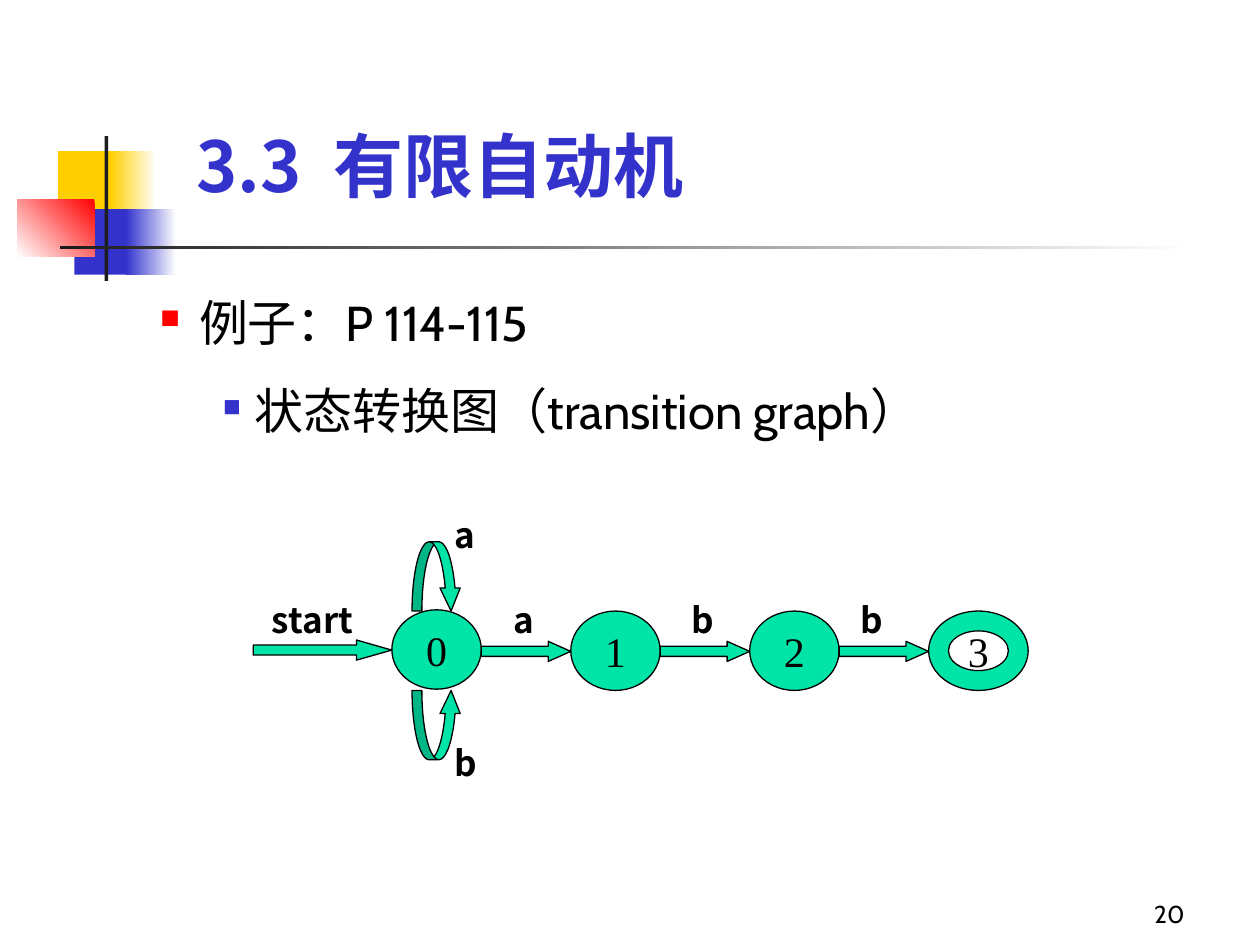
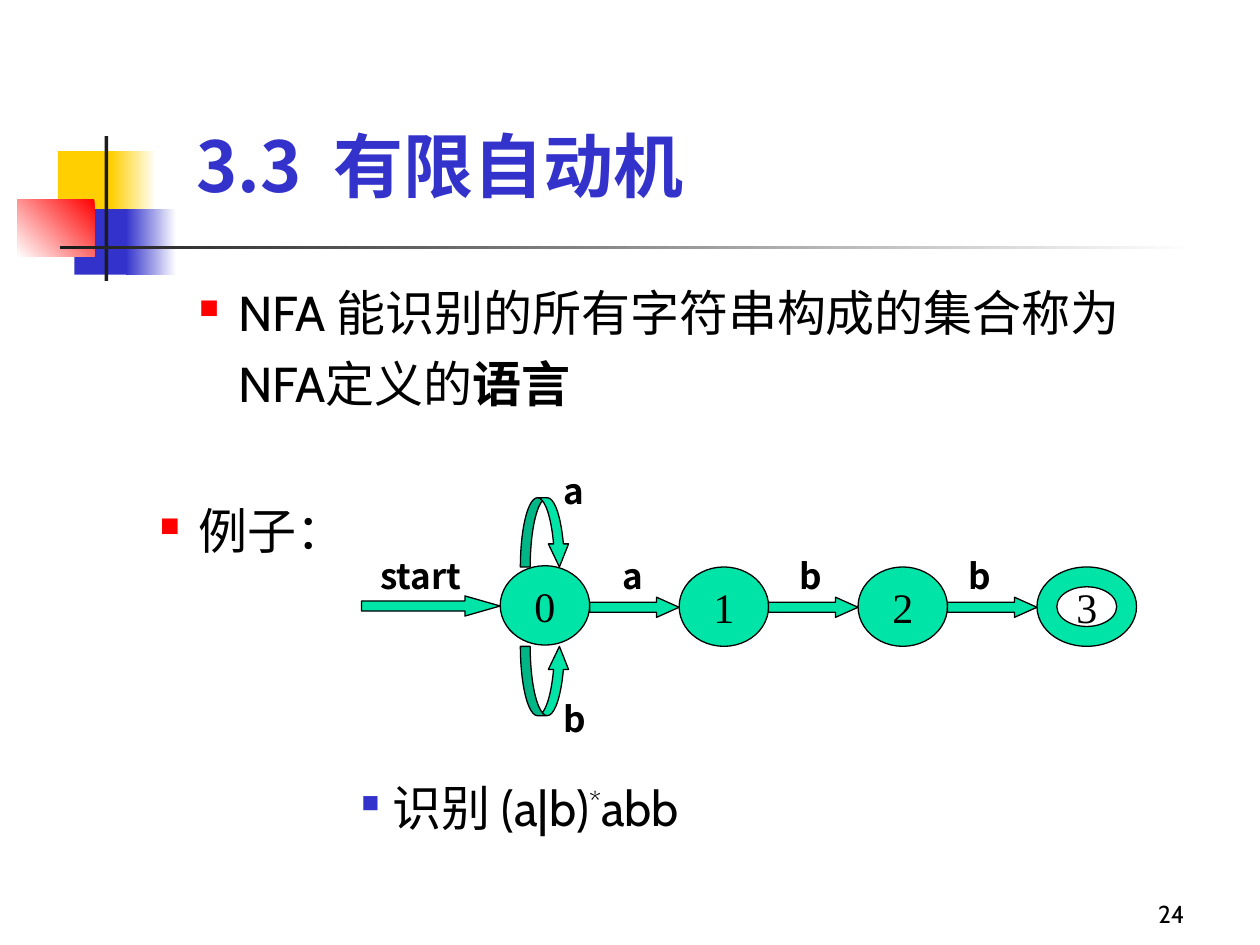
from dataclasses import dataclass

from lxml import etree
from pptx import Presentation
from pptx import util as u
from pptx.dml.color import RGBColor
from pptx.enum import shapes, text
from pptx.oxml import ns


@dataclass(frozen=True)
class Theme:
    yellow: str = "FFCF01"
    blue: str = "3333CC"
    red: str = "FF0000"
    white: str = "FFFFFF"
    black: str = "000000"
    dark: str = "1C1C1C"
    green: str = "00E4A8"
    body: str = "Cabin"
    heading: str = "Noto Sans CJK SC"
    digits: str = "Times New Roman"
    title_size: int = 40
    list_size: int = 28
    state_size: int = 24
    label_size: int = 20
    number_size: int = 14


THEME = Theme()
SHAPE = shapes.MSO_SHAPE
ALIGN = text.PP_ALIGN
ANCHOR = text.MSO_ANCHOR

# Content: boxes are (left, top, width, height) in inches
TITLE = "3.3  有限自动机"
TITLE_BOX = (1.46, 0.76, 7.46, 0.93)
NUMBER_BOX = (7.42, 6.92, 2.08, 0.5)

PAGES = [
    {
        "number": "20",
        "automaton": (3.11, 4.84),
        "items": [
            {"box": (0.67, 2.18, 8.58, 0.71), "level": 1,
             "spans": [("例子：P 114-115", {})]},
            {"box": (0.67, 2.88, 8.58, 0.71), "level": 2,
             "spans": [("状态转换图（transition graph）", {})]},
        ],
    },
    {
        "number": "24",
        "automaton": (3.97, 4.49),
        "items": [
            {"box": (0.98, 2.1, 8.74, 1.34), "level": 1,
             "spans": [("NFA 能识别的所有字符串构成的集合称为 NFA定义的", {}),
                       ("语言", {"bold": True})]},
            {"box": (0.67, 3.83, 8.58, 0.71), "level": 1,
             "spans": [("例子：", {})]},
            {"box": (1.77, 6.03, 7.32, 0.71), "level": 2,
             "spans": [("识别 (a|b)", {}), ("*", {"raised": True}), ("abb", {})]},
        ],
    },
]

# level: (left margin, bullet colour, bullet size in percent, hanging indent)
LEVELS = {1: (0.81, THEME.red, 55, 0.31), 2: (1.25, THEME.blue, 50, 0.25)}

# Decoration: box, colours (two make a gradient), angle
DECORATION = [
    ((0.46, 1.2, 0.48, 0.52), [THEME.yellow], 0),
    ((0.88, 1.2, 0.36, 0.52), [THEME.white, THEME.yellow], 180),
    ((0.59, 1.66, 0.46, 0.52), [THEME.blue], 0),
    ((1, 1.66, 0.4, 0.52), [THEME.white, THEME.blue], 180),
    ((0.14, 1.58, 0.61, 0.46), [THEME.red, THEME.white], 225),
    ((0.83, 1.08, 0.03, 1.15), [THEME.dark], 0),
    ((0.48, 1.95, 9, 0.03), [THEME.white, THEME.dark], 180),
]

# Automaton, measured from the top left of state 0
STATES = ["0", "1", "2", "3"]
STATE_W, STATE_H, FINAL_W, PITCH = 0.71, 0.63, 0.79, 1.42
ARROW_H, START_W = 0.16, 1.1
LOOP_W, LOOP_H = 0.39, 0.55
LABEL_W, LABEL_H = 0.32, 0.44
LOOPS = [(SHAPE.CURVED_DOWN_ARROW, -0.54), (SHAPE.CURVED_UP_ARROW, 0.64)]
LABELS = [
    ("start", -1.18, -0.15, START_W),
    ("a", 0.87, -0.15, LABEL_W),
    ("b", 2.28, -0.15, LABEL_W),
    ("b", 3.62, -0.15, LABEL_W),
    ("a", 0.4, -0.82, LABEL_W),
    ("b", 0.4, 0.99, LABEL_W),
]


# Text
def write(frame, spans, *, size, font=THEME.body, color=THEME.black, bold=False,
          align=ALIGN.LEFT, anchor=ANCHOR.TOP, wrap=True, grow=False, before=0):
    """Fill the first paragraph with (text, format) spans and return it."""
    frame.word_wrap = wrap
    frame.auto_size = (text.MSO_AUTO_SIZE.SHAPE_TO_FIT_TEXT if grow
                       else text.MSO_AUTO_SIZE.NONE)
    frame.vertical_anchor = anchor
    para = frame.paragraphs[0]
    para.alignment = align
    para.space_before = u.Pt(before)
    for words, style in spans:
        span = para.add_run()
        span.text = words
        span.font.size = u.Pt(size)
        span.font.bold = style.get("bold", bold)
        span.font.color.rgb = RGBColor.from_string(color)
        span.font.name = font
        props = span.font._element
        etree.SubElement(props, ns.qn("a:ea"), typeface=THEME.heading)
        if style.get("raised"):
            props.set("baseline", "30000")
    return para


def add_bullet(para, level):
    margin, color, size, hanging = LEVELS[level]
    para.level = level
    para.line_spacing = 1.2
    props = para._p.get_or_add_pPr()
    props.set("marL", str(u.Inches(margin)))
    props.set("indent", str(-u.Inches(hanging)))
    paint = etree.SubElement(props, ns.qn("a:buClr"))
    etree.SubElement(paint, ns.qn("a:srgbClr"), val=color)
    etree.SubElement(props, ns.qn("a:buSzPct"), val=str(size * 1000))
    etree.SubElement(props, ns.qn("a:buFont"), typeface="Wingdings", charset="2")
    etree.SubElement(props, ns.qn("a:buChar"), char="n")


# Shapes
def inches(box):
    return [u.Inches(value) for value in box]


def place(shape, box):
    shape.left, shape.top, shape.width, shape.height = inches(box)


def add_figure(page, kind, box, colors, angle=0, outline=False, adjust=()):
    shape = page.shapes.add_shape(kind, *inches(box))
    shape.shadow.inherit = False
    if len(colors) == 1:
        shape.fill.solid()
        shape.fill.fore_color.rgb = RGBColor.from_string(colors[0])
    else:
        shape.fill.gradient()
        shape.fill.gradient_angle = angle
        for place_at, (stop, color) in enumerate(zip(shape.fill.gradient_stops, colors)):
            stop.position = place_at
            stop.color.rgb = RGBColor.from_string(color)
    if outline:
        shape.line.color.rgb = RGBColor.from_string(THEME.black)
        shape.line.width = u.Pt(0.75)
    else:
        shape.line.fill.background()
    for index, value in enumerate(adjust):
        shape.adjustments[index] = value
    return shape


def decorate(layout, page):
    """Draw the corner squares and rules, then hand them to the shared layout."""
    for box, colors, angle in DECORATION:
        shape = add_figure(page, SHAPE.RECTANGLE, box, colors, angle)
        layout.shapes.element.append(shape.element)


def draw_automaton(page, left, top):
    def part(kind, x, y, width, height, adjust=()):
        return add_figure(page, kind, (left + x, top + y, width, height),
                          [THEME.green], outline=True, adjust=adjust)

    # States, each reached by an arrow
    for index, name in enumerate(STATES):
        x = index * PITCH
        final = index == len(STATES) - 1
        drop = 0.01 if index else 0
        state = part(SHAPE.DONUT if final else SHAPE.OVAL, x, drop,
                     FINAL_W if final else STATE_W, STATE_H)
        write(state.text_frame, [(name, {})], size=THEME.state_size,
              font=THEME.digits, align=ALIGN.CENTER, anchor=ANCHOR.MIDDLE, wrap=False)
        length = PITCH - STATE_W if index else START_W
        part(SHAPE.RIGHT_ARROW, x - length, 0.24 + drop, length, ARROW_H,
             (0.5, 1.12 if index else 1.75))

    # Loops on state 0
    for kind, y in LOOPS:
        part(kind, 0.16, y, LOOP_W, LOOP_H, (0.2, 0.41, 0.47))

    # Input symbols
    for name, x, y, width in LABELS:
        box = page.shapes.add_textbox(*inches((left + x, top + y, width, LABEL_H)))
        write(box.text_frame, [(name, {})], size=THEME.label_size,
              font=THEME.heading, bold=True, align=ALIGN.CENTER,
              anchor=ANCHOR.BOTTOM, grow=True, before=12.5)


# Pages
def build_page(page, content):
    title, body = page.placeholders
    place(title, TITLE_BOX)
    write(title.text_frame, [(TITLE, {})], size=THEME.title_size, font=THEME.heading,
          color=THEME.blue, bold=True, anchor=ANCHOR.BOTTOM)

    for index, item in enumerate(content["items"]):
        box = page.shapes.add_textbox(0, 0, 0, 0) if index else body
        place(box, item["box"])
        para = write(box.text_frame, item["spans"], size=THEME.list_size, before=7)
        add_bullet(para, item["level"])

    draw_automaton(page, *content["automaton"])

    number = page.shapes.add_textbox(*inches(NUMBER_BOX))
    write(number.text_frame, [(content["number"], {})], size=THEME.number_size,
          align=ALIGN.RIGHT, anchor=ANCHOR.BOTTOM)


def main():
    deck = Presentation()
    deck.slide_width, deck.slide_height = u.Inches(10), u.Inches(7.5)
    layout = deck.slide_layouts[1]
    for index, content in enumerate(PAGES):
        page = deck.slides.add_slide(layout)
        if index == 0:
            decorate(layout, page)
        build_page(page, content)
    deck.save("out.pptx")


if __name__ == "__main__":
    main()
